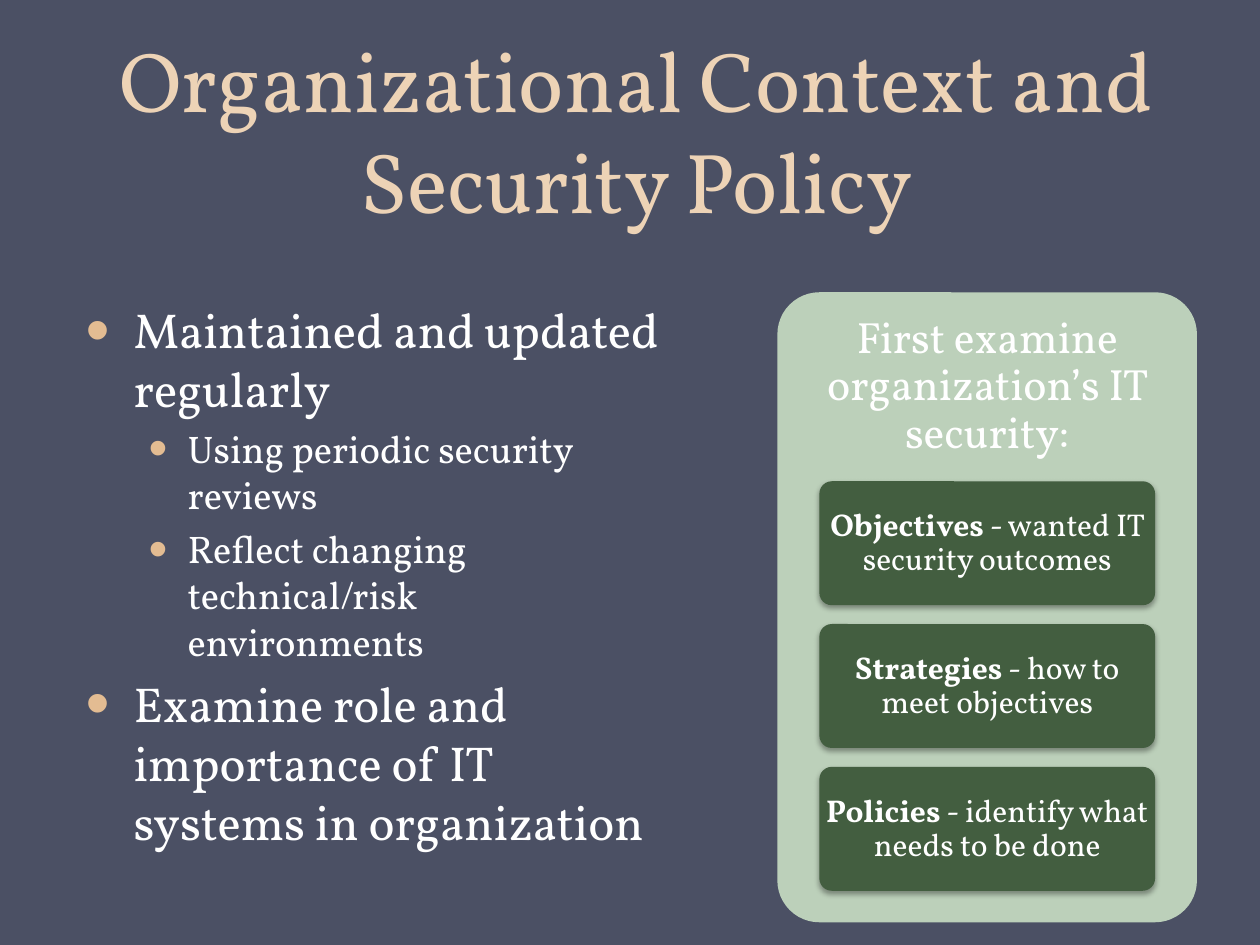
from dataclasses import dataclass

from lxml import etree
from pptx import Presentation
from pptx.dml.color import RGBColor
from pptx.enum import shapes, text
from pptx.oxml import ns
from pptx.util import Inches, Pt


@dataclass(frozen=True)
class Theme:
    font: str = "Vollkorn"
    background: str = "4B5064"
    title: str = "EDD3B6"
    body: str = "FFFFFF"
    bullet: str = "E3BC92"
    panel: str = "BCD0BA"
    card: str = "435E40"
    shadow: str = "000000"
    title_size: float = 48.6
    list_sizes: tuple = (28, 22)
    heading_size: float = 25
    card_size: float = 18


THEME = Theme()
TITLE = "Organizational Context and Security Policy"
POINTS = [
    (0, "Maintained and updated regularly"),
    (1, "Using periodic security reviews"),
    (1, "Reflect changing technical/risk environments"),
    (0, "Examine role and importance of IT systems in organization"),
]
LIST_INDENTS = [(0.38, -0.38), (0.81, -0.31)]  # left margin, first line
HEADING = "First examine organization’s IT security:"
CARDS = [
    ("Objectives", " - wanted IT security outcomes"),
    ("Strategies", " - how to meet objectives"),
    ("Policies", " - identify what needs to be done"),
]


def rgb(value):
    return RGBColor.from_string(value)


def sub(parent, tag, **attrs):
    return etree.SubElement(parent, ns.qn(tag), **attrs)


def add_run(p, words, size, color=THEME.body, bold=False):
    r = p.add_run()
    r.text = words
    r.font.name, r.font.size, r.font.bold = THEME.font, Pt(size), bold
    r.font.color.rgb = rgb(color)


def place(sp, box):
    sp.left, sp.top, sp.width, sp.height = (Inches(v) for v in box)


def set_frame(tf, anchor, inset_x=0.1, inset_y=0.05):
    tf.word_wrap = True
    tf.auto_size = text.MSO_AUTO_SIZE.NONE
    tf.vertical_anchor = anchor
    tf.margin_left = tf.margin_right = Inches(inset_x)
    tf.margin_top = tf.margin_bottom = Inches(inset_y)


def add_bullet(p, left, first):
    pPr = p._p.get_or_add_pPr()
    pPr.set("marL", str(Inches(left)))
    pPr.set("indent", str(Inches(first)))
    sub(sub(pPr, "a:buClr"), "a:srgbClr", val=THEME.bullet)
    sub(pPr, "a:buSzPct", val="140000")
    sub(pPr, "a:buFont", typeface="Arial")
    sub(pPr, "a:buChar", char="•")


def add_card_shadow(sp):
    effects = sub(sp._element.spPr, "a:effectLst")
    shadow = sub(effects, "a:outerShdw", blurRad=str(Pt(3.1)), dist=str(Pt(1.8)),
                 dir="5400000", rotWithShape="0")
    sub(sub(shadow, "a:srgbClr", val=THEME.shadow), "a:alpha", val="35000")


def add_round_rect(s, box, fill, shadow=False):
    sp = s.shapes.add_shape(shapes.MSO_SHAPE.ROUNDED_RECTANGLE,
                            *(Inches(v) for v in box))
    sp.adjustments[0] = 0.1
    sp.fill.solid()
    sp.fill.fore_color.rgb = rgb(fill)
    sp.line.fill.background()
    if shadow:
        add_card_shadow(sp)
    else:
        sp.shadow.inherit = False
    return sp


def centred_paragraph(tf, line_spacing):
    p = tf.paragraphs[0]
    p.alignment = text.PP_ALIGN.CENTER
    p.line_spacing = line_spacing
    return p


def fill_title(s, box):
    sp = s.shapes.title
    place(sp, box)
    set_frame(sp.text_frame, text.MSO_ANCHOR.BOTTOM)
    p = centred_paragraph(sp.text_frame, Pt(58))
    add_run(p, TITLE, THEME.title_size, THEME.title)


def fill_list(s, box):
    sp = s.placeholders[1]
    place(sp, box)
    tf = sp.text_frame
    set_frame(tf, text.MSO_ANCHOR.TOP)
    for i, (level, words) in enumerate(POINTS):
        p = tf.add_paragraph() if i else tf.paragraphs[0]
        size = THEME.list_sizes[level]
        p.level = level
        p.space_before = Pt(size * 0.2 if i else 0)
        add_bullet(p, *LIST_INDENTS[level])
        add_run(p, words, size)


def add_panel(s, box):
    """Heading in the top 30 %, then equal cards with even gaps in the next 65 %."""
    x, y, w, h = box
    add_round_rect(s, box, THEME.panel)
    head_h = 0.3 * h
    heading = s.shapes.add_textbox(*(Inches(v) for v in (x, y, w, head_h)))
    set_frame(heading.text_frame, text.MSO_ANCHOR.MIDDLE, 0.1, 0.1)
    add_run(centred_paragraph(heading.text_frame, 0.9), HEADING, THEME.heading_size)

    gap = 0.15
    card_h = (0.65 * h - gap * (len(CARDS) - 1)) / len(CARDS)
    for i, (term, meaning) in enumerate(CARDS):
        card_box = (x + 0.1 * w, y + head_h + i * (card_h + gap), 0.8 * w, card_h)
        card = add_round_rect(s, card_box, THEME.card, shadow=True)
        set_frame(card.text_frame, text.MSO_ANCHOR.MIDDLE, 0.01, 0.01)
        p = centred_paragraph(card.text_frame, 0.9)
        add_run(p, term, THEME.card_size, bold=True)
        add_run(p, meaning, THEME.card_size)


def main():
    prs = Presentation()
    prs.slide_width, prs.slide_height = Inches(10), Inches(7.5)
    s = prs.slides.add_slide(prs.slide_layouts[1])
    s.background.fill.solid()
    s.background.fill.fore_color.rgb = rgb(THEME.background)
    fill_title(s, (0.51, 0.21, 9.08, 1.67))
    fill_list(s, (0.58, 2.33, 4.75, 5.46))
    add_panel(s, (6.17, 2.32, 3.33, 5))
    prs.save("out.pptx")


if __name__ == "__main__":
    main()
